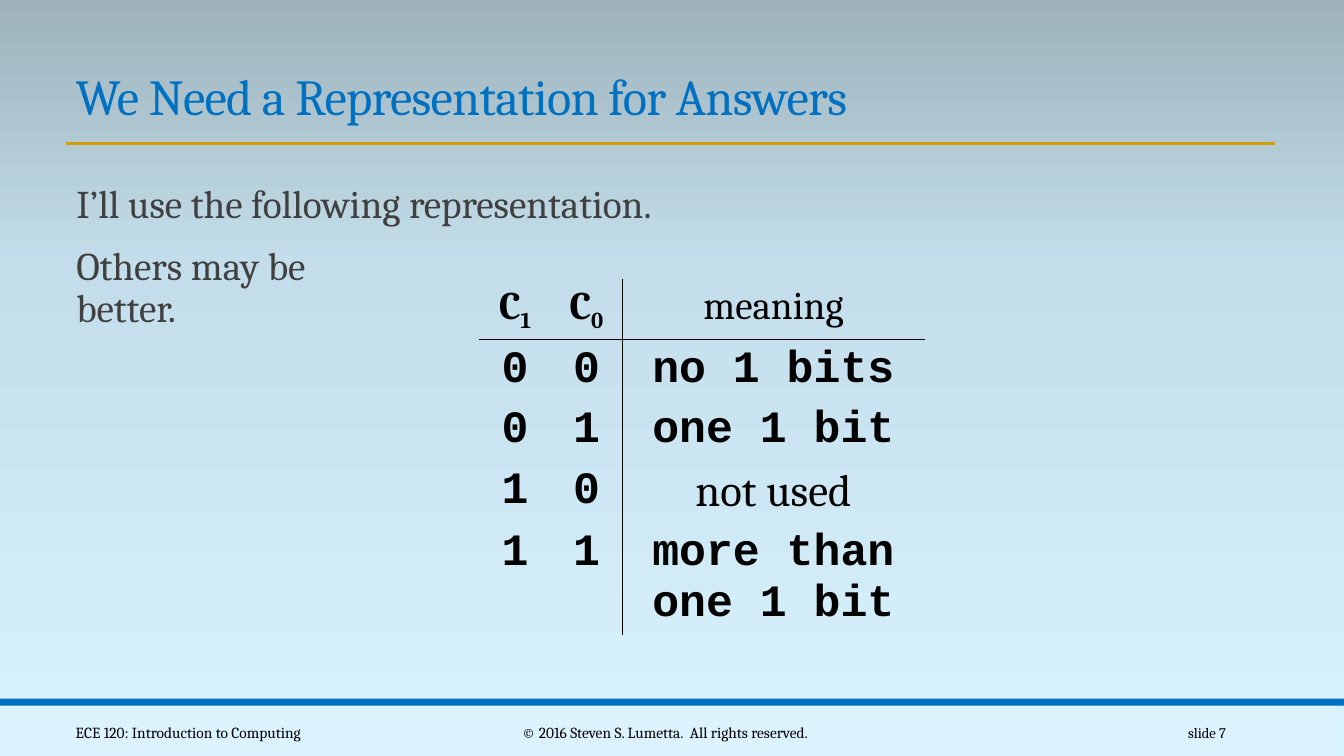
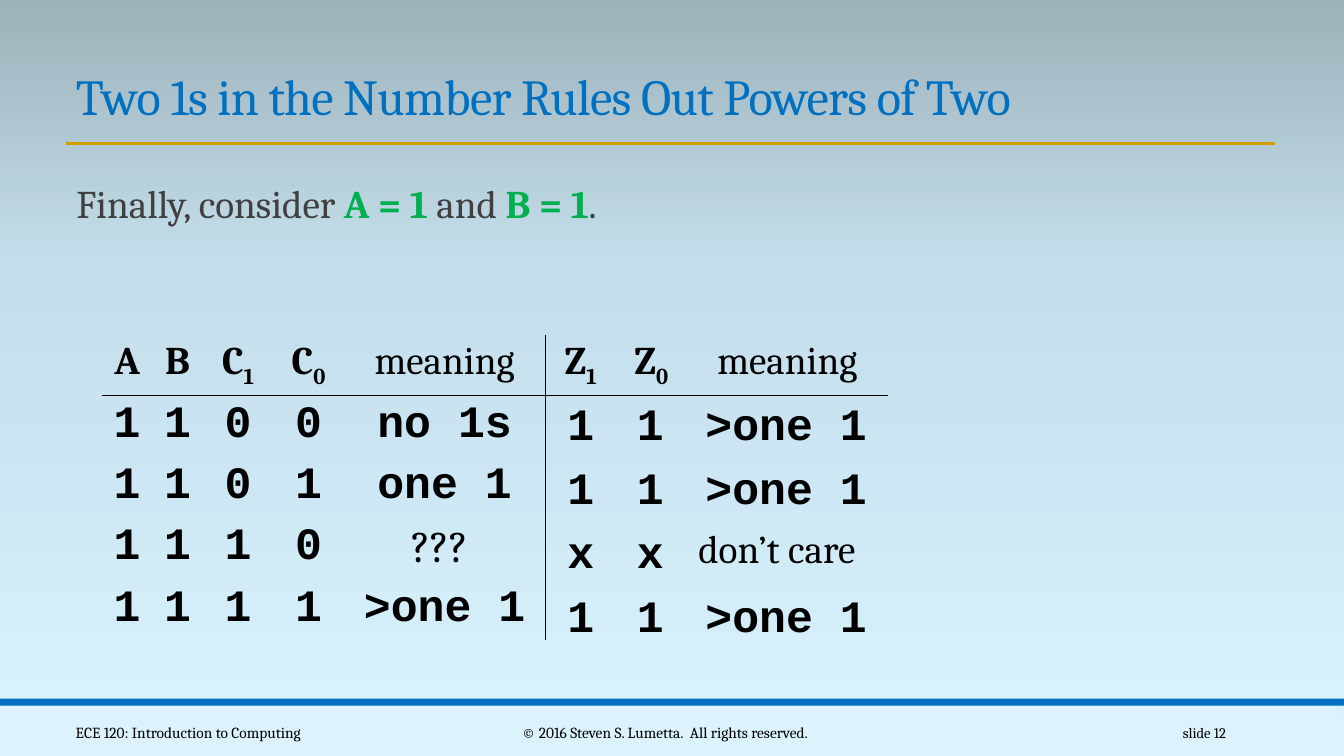
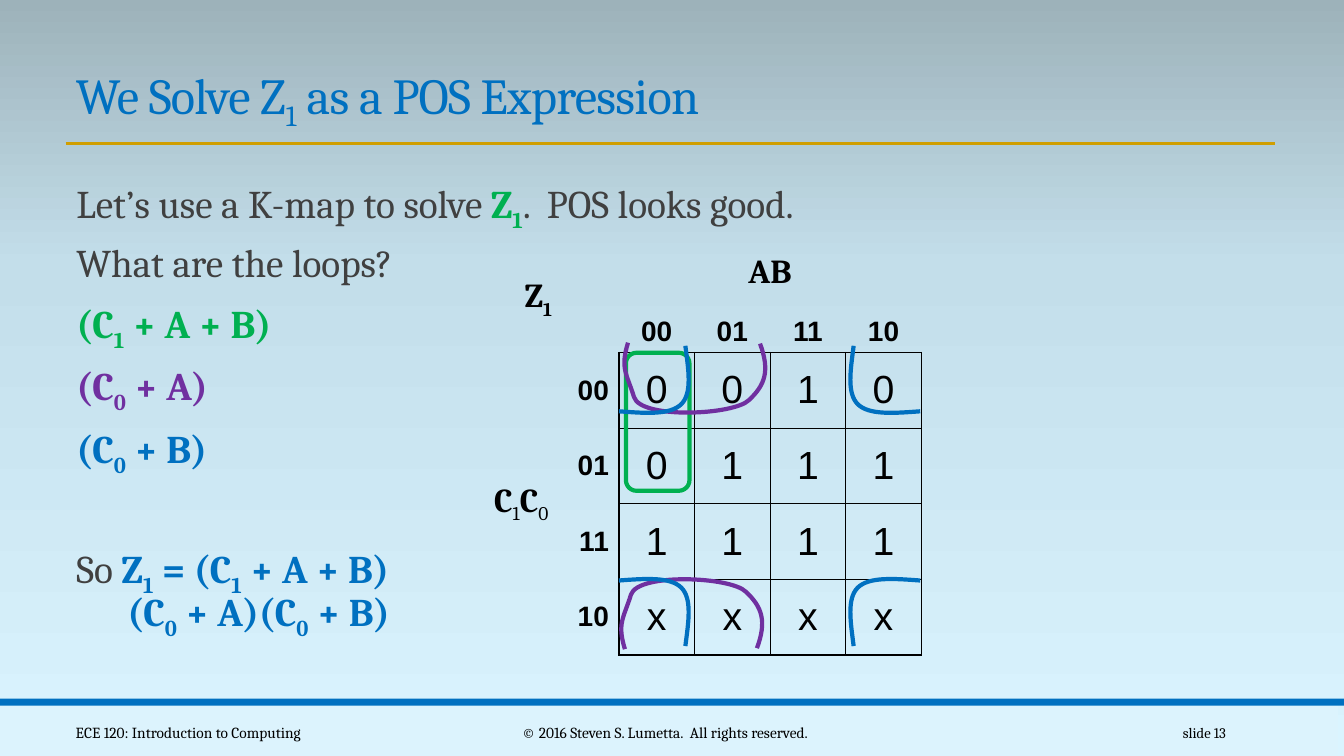
import pptx
import pptx.dml.color
import pptx.enum.shapes
import pptx.enum.text
import pptx.oxml
import pptx.oxml.ns
import pptx.util
from lxml import etree

Pt = pptx.util.Pt
RGBColor = pptx.dml.color.RGBColor
qn = pptx.oxml.ns.qn
Align = pptx.enum.text.PP_ALIGN
Anchor = pptx.enum.text.MSO_ANCHOR
Shape = pptx.enum.shapes.MSO_SHAPE

BLUE = RGBColor(0x00, 0x70, 0xC0)
GREEN = RGBColor(0x00, 0xB0, 0x50)
PURPLE = RGBColor(0x70, 0x30, 0xA0)
GOLD = RGBColor(0xD0, 0x9E, 0x00)
GRAY = RGBColor(0x40, 0x40, 0x40)
BLACK = RGBColor(0x00, 0x00, 0x00)
PALE = RGBColor(0xDC, 0xF3, 0xFD)
SKY_LIGHT = RGBColor(0xDA, 0xF4, 0xFF)
SKY_MIDDLE = RGBColor(0xC3, 0xDE, 0xEA)
SKY_DARK = RGBColor(0x9D, 0xB2, 0xBA)

SERIF, SANS, MONO = "Cambria", "Arial", "Courier New"
NO_STYLE_NO_GRID = "{2D5ABB26-0587-4C30-8999-92F81FD0307C}"


def add_text(paragraph, text, size, color=BLACK, bold=False, name=SERIF):
    """Add runs to a paragraph; the character after "_" is a subscript."""
    plain, *marked = text.split("_")
    pieces = [(plain, False)]
    for part in marked:
        pieces += [(part[0], True), (part[1:], False)]
    for piece, is_subscript in pieces:
        if piece:
            run = paragraph.add_run()
            run.text = piece
            for key, value in dict(size=Pt(size), bold=bold, name=name).items():
                setattr(run.font, key, value)
            run.font.color.rgb = color
            if is_subscript:
                run.font._element.set("baseline", "-25000")


def add_table(slide, left, top, columns, rows, ruled_sides):
    """Add an unfilled table; ruled_sides(row, column) names the sides to rule."""
    frame = slide.shapes.add_table(len(rows), len(columns), Pt(left), Pt(top),
                                   Pt(sum(columns)), Pt(sum(rows)))
    table = frame.table
    table.first_row = table.horz_banding = False
    next(frame.element.iter(qn("a:tableStyleId"))).text = NO_STYLE_NO_GRID
    for column, width in zip(table.columns, columns):
        column.width = Pt(width)
    for row, height in zip(table.rows, rows):
        row.height = Pt(height)
    for row in range(len(rows)):
        for column in range(len(columns)):
            cell = table.cell(row, column)
            properties = cell._tc.get_or_add_tcPr()
            for side in ruled_sides(row, column):
                line = etree.SubElement(properties, qn("a:ln" + side), w=str(Pt(1)))
                fill = etree.SubElement(line, qn("a:solidFill"))
                etree.SubElement(fill, qn("a:srgbClr"), val=str(BLACK))
            cell.fill.background()
    return table


presentation = pptx.Presentation()
presentation.slide_width, presentation.slide_height = Pt(960), Pt(540)

# Background gradient on the master
fill = presentation.slide_master.background.fill
fill.gradient()
fill.gradient_angle = 90
for stop, color, position in zip(fill.gradient_stops, (SKY_LIGHT, SKY_DARK), (0, 1)):
    stop.color.rgb = color
    stop.position = position
stop_list = next(presentation.slide_master.element.iter(qn("p:bg"))).find(".//" + qn("a:gsLst"))
middle_stop = etree.Element(qn("a:gs"), pos="65000")
etree.SubElement(middle_stop, qn("a:srgbClr"), val=str(SKY_MIDDLE))
stop_list.insert(1, middle_stop)

# Layout placeholders
layout = presentation.slide_layouts[1]
title_holder, body_holder, *footer_holders = layout.placeholders
for holder in footer_holders:
    holder.element.getparent().remove(holder.element)
for holder, (left, top, width, height) in (
        (title_holder, (47, 42.5, 864.7, 51)),
        (body_holder, (47, 128.2, 613.4, 334))):
    for key, value in dict(left=left, top=top, width=width, height=height).items():
        setattr(holder, key, Pt(value))
    holder.text_frame.auto_size = pptx.enum.text.MSO_AUTO_SIZE.NONE
title_holder.text_frame.vertical_anchor = Anchor.BOTTOM
body_holder.text_frame.vertical_anchor = Anchor.TOP
body_holder.text_frame.margin_left = body_holder.text_frame.margin_right = 0

# Slide contents: number, title, line spacing, body paragraphs as lists of runs
slide_texts = [
    (7, "We Need a Representation for Answers", 0.9, [
        [("I’ll use the following representation.", GRAY)],
        [("Others may be ", GRAY), ("\n", GRAY), ("better.", GRAY)]]),
    (12, "Two 1s in the Number Rules Out Powers of Two", 0.9, [
        [("Finally, consider ", GRAY), ("A = 1", GREEN), (" and ", GRAY),
         ("B = 1", GREEN), (".", GRAY)]]),
    (13, "We Solve Z_1 as a POS Expression", 0.8, [
        [("Let’s use a K-map to solve ", GRAY), ("Z_1", GREEN),
         (".  POS looks good.", GRAY)],
        [("What are the loops?", GRAY)],
        [("(C_1 + A + B)", GREEN)],
        [("(C_0 + A)", PURPLE)],
        [("(C_0 + B)", BLUE)],
        [("So ", GRAY), ("Z_1 = (C_1 + A + B)", BLUE)],
        [("(C_0 + A)(C_0 + B)", BLUE)]]),
]

text_boxes = []
for number, title, line_spacing, body in slide_texts:
    slide = presentation.slides.add_slide(layout)

    # Title
    paragraph = slide.shapes.title.text_frame.paragraphs[0]
    paragraph.alignment = Align.LEFT
    paragraph.line_spacing = 0.85
    add_text(paragraph, title, 36, BLUE)
    for run in paragraph.runs:
        run.font._element.set("spc", "-50")

    # Body
    text_frame = slide.placeholders[1].text_frame
    for index, runs in enumerate(body):
        paragraph = text_frame.paragraphs[0] if index == 0 else text_frame.add_paragraph()
        properties = paragraph._p.get_or_add_pPr()
        properties.set("marL", str(Pt(7.5)))
        properties.set("indent", "0")
        etree.SubElement(properties, qn("a:buNone"))
        paragraph.line_spacing = line_spacing
        paragraph.space_before = Pt(12 if index else 0)
        paragraph.space_after = Pt(2)
        for text, color in runs:
            if text == "\n":
                paragraph.add_line_break()
            else:
                add_text(paragraph, text, 28, color, bold=color != GRAY)

    # Footer texts
    text_boxes += [
        (slide, 47, 508.6, 234, 28.8, "ECE 120: Introduction to Computing",
         11, SERIF, False, Align.LEFT, Anchor.MIDDLE),
        (slide, 290.2, 508.6, 370, 28.8, "© 2016 Steven S. Lumetta.  All rights reserved.",
         11, SERIF, False, Align.CENTER, Anchor.MIDDLE),
        (slide, 779.8, 508.6, 103, 28.8, f"slide {number}",
         10.5, SERIF, False, Align.RIGHT, Anchor.MIDDLE)]

answers_slide, rules_slide, kmap_slide = presentation.slides

# The final expression stands apart and continues on an indented line
conclusion, continuation = kmap_slide.placeholders[1].text_frame.paragraphs[-2:]
conclusion.space_before = Pt(53.2)
conclusion.space_after = continuation.space_before = Pt(0)
continuation._p.get_or_add_pPr().set("marL", str(Pt(44)))

# Bands and title rule, drawn once and moved to the layout
for left, top, height, color in ((-4.3, 504, 36, PALE), (0, 499, 5, BLUE)):
    band = answers_slide.shapes.add_shape(Shape.RECTANGLE, Pt(left), Pt(top),
                                          Pt(960), Pt(height))
    band.shadow.inherit = False
    band.fill.solid()
    band.fill.fore_color.rgb = color
    band.line.fill.background()
    layout.shapes.element.append(band.element)
title_rule = answers_slide.shapes.add_connector(
    pptx.enum.shapes.MSO_CONNECTOR.STRAIGHT, Pt(46.8), Pt(102.5), Pt(910.8), Pt(102.5))
title_rule.line.color.rgb = GOLD
title_rule.line.width = Pt(2)
etree.SubElement(title_rule.element.spPr, qn("a:effectLst"))
layout.shapes.element.append(title_rule.element)

# Truth tables: position, column widths, ruled column, cells
truth_tables = [
    (answers_slide, 342.3, 199.2, [51.1, 51.1, 216], 1, [
        ["C_1", "C_0", "meaning"],
        ["0", "0", "no 1 bits"],
        ["0", "1", "one 1 bit"],
        ["1", "0", "not used"],
        ["1", "1", "more than one 1 bit"]]),
    (rules_slide, 72.8, 239, [36, 36, 50.4, 50.4, 144, 50.4, 50.4, 144], 4, [
        ["A", "B", "C_1", "C_0", "meaning", "Z_1", "Z_0", "meaning"],
        ["1", "1", "0", "0", "no 1s"],
        ["1", "1", "0", "1", "one 1"],
        ["1", "1", "1", "0", "??? "],
        ["1", "1", "1", "1", ">one 1"]]),
]
for slide, left, top, columns, ruled_column, cells in truth_tables:
    table = add_table(
        slide, left, top, columns, [42.5] + [39] * 4,
        lambda row, column: ["R"] * (column == ruled_column) + ["B"] * (row == 0))
    for row, texts in enumerate(cells):
        for column, text in enumerate(texts):
            paragraph = table.cell(row, column).text_frame.paragraphs[0]
            paragraph.alignment = Align.CENTER
            is_word = text in ("meaning", "not used", "??? ")
            add_text(paragraph, text, 32 if row else 28, bold=not is_word,
                     name=MONO if row and not is_word else SERIF)

# Result columns laid over the second truth table
results = [("1", "1", ">one 1"), ("1", "1", ">one 1"),
           ("x", "x", "don’t care"), ("1", "1", ">one 1")]
for row, texts in enumerate(results):
    for text, left, width in zip(texts, (398.2, 447.8, 496.8), (36, 36, 140)):
        is_word = text == "don’t care"
        text_boxes.append((
            rules_slide, left - 5 * is_word, 279.4 + 45.6 * row, width + 10 * is_word, 46,
            text, 28 if is_word else 32, SERIF if is_word else MONO, not is_word,
            Align.LEFT, Anchor.TOP))

# Text boxes of all slides
for slide, left, top, width, height, text, size, name, bold, alignment, anchor in text_boxes:
    text_frame = slide.shapes.add_textbox(Pt(left), Pt(top), Pt(width), Pt(height)).text_frame
    text_frame.word_wrap = True
    text_frame.vertical_anchor = anchor
    text_frame.paragraphs[0].alignment = alignment
    add_text(text_frame.paragraphs[0], text, size, bold=bold, name=name)

# Karnaugh map
kmap = add_table(
    kmap_slide, 326.9, 175.8, [72, 43.2] + [54] * 4, [28.8] * 2 + [54] * 4,
    lambda row, column: "LRTB" if row > 1 and column > 1 else "")
for first, last in (((0, 0), (1, 1)), ((0, 2), (0, 5)), ((2, 0), (5, 0))):
    kmap.cell(*first).merge(kmap.cell(*last))

kmap_cells = [
    (0, 0, "Z_1", 24, SERIF, True, Align.CENTER, Anchor.MIDDLE),
    (0, 2, "AB", 24, SERIF, True, Align.CENTER, Anchor.BOTTOM),
    (2, 0, "C_1C_0", 24, SERIF, True, Align.RIGHT, Anchor.MIDDLE)]
gray_code = ["00", "01", "11", "10"]
for row, (code, values) in enumerate(zip(gray_code, ("0010", "0111", "1111", "xxxx")), 2):
    kmap_cells += [
        (1, row, code, 20, SANS, True, Align.CENTER, Anchor.BOTTOM),
        (row, 1, code, 20, SANS, True, Align.RIGHT, Anchor.MIDDLE)]
    for column, value in enumerate(values, 2):
        kmap_cells.append((row, column, value, 28, SANS, False, Align.CENTER, Anchor.MIDDLE))
for row, column, text, size, name, bold, alignment, anchor in kmap_cells:
    cell = kmap.cell(row, column)
    cell.vertical_anchor = anchor
    paragraph = cell.text_frame.paragraphs[0]
    paragraph.alignment = alignment
    add_text(paragraph, text, size, bold=bold, name=name)
for subscript in kmap.cell(2, 0).text_frame.paragraphs[0].runs[1::2]:
    subscript.font.bold = False

# Loops of the map: a rounded rectangle and curves that wrap around the edges
green_loop = kmap_slide.shapes.add_shape(Shape.ROUNDED_RECTANGLE, Pt(447.1), Pt(252),
                                         Pt(45.4), Pt(98.6))
loops = [(green_loop, GREEN)]

purple_curve = [(448.6, 244.8), (442.8, 263.5), (447.8, 267.1), (452.9, 283.7),
                (457.9, 299.5), (524.2, 296.6), (535, 285.8),
                (546.5, 275), (550.1, 265), (542.9, 245.5)]
blue_curve = [(489.6, 247), (491.8, 264.2), (494.6, 280.8), (486.7, 288.7),
              (478.8, 296.6), (460.8, 295.2), (442.1, 293.8)]
upper, lower = (0, 1), (708.5, -1)
same, shifted, mirrored = (0, 1), (-2.2, 1), (1099.4, -1)
for curve, color, (x_offset, x_sign), (y_offset, y_sign) in (
        (purple_curve, PURPLE, shifted, lower), (purple_curve, PURPLE, same, upper),
        (blue_curve, BLUE, same, upper), (blue_curve, BLUE, mirrored, upper),
        (blue_curve, BLUE, same, lower), (blue_curve, BLUE, mirrored, lower)):
    points = [(Pt(x_offset + x_sign * x), Pt(y_offset + y_sign * y)) for x, y in curve]
    builder = kmap_slide.shapes.build_freeform(*points[0])
    builder.add_line_segments(points[1:], close=False)
    loop = builder.convert_to_shape()
    # Every three straight segments become one cubic curve
    outline = next(loop.element.iter(qn("a:path")))
    segments = outline.findall(qn("a:lnTo"))
    for start in range(0, len(segments), 3):
        cubic = etree.SubElement(outline, qn("a:cubicBezTo"))
        for segment in segments[start:start + 3]:
            cubic.append(segment[0])
            outline.remove(segment)
    loops.append((loop, color))

for loop, color in loops:
    loop.shadow.inherit = False
    loop.fill.background()
    loop.line.color.rgb = color
    loop.line.width = Pt(3)

presentation.save("out.pptx")
